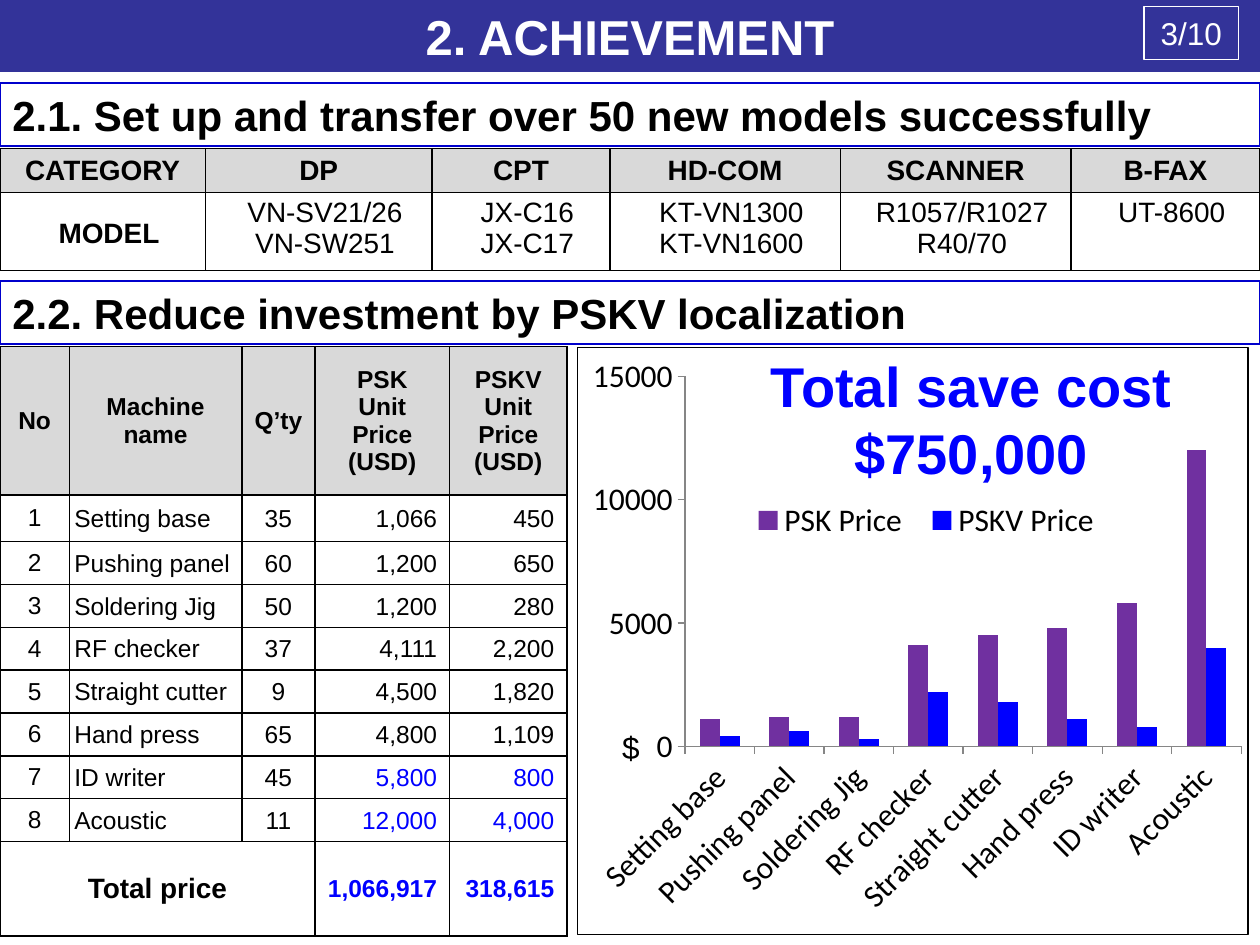
from lxml.etree import SubElement as Sub
from pptx import Presentation
from pptx.chart.data import CategoryChartData as Data
from pptx.dml.color import RGBColor
from pptx.enum.chart import XL_CHART_TYPE as Kind, XL_LEGEND_POSITION as Pos
from pptx.enum.chart import XL_TICK_MARK as Tick
from pptx.enum.shapes import MSO_SHAPE as Shape
from pptx.enum.text import MSO_ANCHOR as Anchor, PP_ALIGN as Align
from pptx.oxml import parse_xml
from pptx.oxml.ns import nsdecls, qn
from pptx.util import Inches, Pt

BLACK = RGBColor(0, 0, 0)
WHITE = RGBColor(255, 255, 255)
NAVY = RGBColor(0x33, 0x33, 0x99)
FRAME = RGBColor(0, 0, 0xCC)
BLUE = RGBColor(0, 0, 0xFF)
PURPLE = RGBColor(0x70, 0x30, 0xA0)
GRAY = RGBColor(0xD9, 0xD9, 0xD9)
AXIS = RGBColor(0x86, 0x86, 0x86)

MODELS = [
    ("DP", "VN-SV21/26\nVN-SW251"), ("CPT", "JX-C16\nJX-C17"),
    ("HD-COM", "KT-VN1300\nKT-VN1600"),
    ("SCANNER", "R1057/R1027\nR40/70"), ("B-FAX", "UT-8600"),
]
PARTS = [
    ("Setting base", 35, 1066, 450), ("Pushing panel", 60, 1200, 650),
    ("Soldering Jig", 50, 1200, 280), ("RF checker", 37, 4111, 2200),
    ("Straight cutter", 9, 4500, 1820), ("Hand press", 65, 4800, 1109),
    ("ID writer", 45, 5800, 800), ("Acoustic", 11, 12000, 4000),
]
HEADS = ["No", "Machine\nname", "Q’ty", "PSK\nUnit\nPrice\n(USD)",
         "PSKV\nUnit\nPrice\n(USD)"]
SERIES = [
    ("PSK Price", (1100, 1200, 1200, 4100, 4500, 4800, 5800, 12000), PURPLE),
    ("PSKV Price", (400, 600, 300, 2200, 1800, 1100, 800, 4000), BLUE),
]
PAD = (0.1, 0.05, 0.1, 0.05)


class Deck:
    """Hold the style and the current slide."""

    font = "Arial"

    def __init__(self):
        self.prs = Presentation()
        self.prs.slide_width, self.prs.slide_height = Inches(10), Inches(7.5)
        self.slide = self.prs.slides.add_slide(self.prs.slide_layouts[5])

    def put(self, frame, text, size, color=BLACK, bold=False,
            align=Align.LEFT):
        for i, line in enumerate(text.split("\n")):
            para = frame.add_paragraph() if i else frame.paragraphs[0]
            para.alignment = align
            run = para.add_run()
            run.text = line
            run.font.name, run.font.size = self.font, Pt(size)
            run.font.bold, run.font.color.rgb = bold, color

    def title(self, text, box):
        head = self.slide.shapes.title
        head.left, head.top, head.width, head.height = map(Inches, box)
        head.fill.solid()
        head.fill.fore_color.rgb = NAVY
        head.text_frame.vertical_anchor = Anchor.MIDDLE
        self.put(head.text_frame, text, 28, WHITE, True, Align.CENTER)

    def rect(self, text, box, size, line, width, fill=None, wrap=True,
             **style):
        shape = self.slide.shapes.add_shape(Shape.RECTANGLE,
                                            *map(Inches, box))
        shape.shadow.inherit = False
        if fill is None:
            shape.fill.background()
        else:
            shape.fill.solid()
            shape.fill.fore_color.rgb = fill
        shape.line.color.rgb, shape.line.width = line, Pt(width)
        shape.text_frame.word_wrap = wrap
        shape.text_frame.vertical_anchor = Anchor.MIDDLE
        self.put(shape.text_frame, text, size, **style)

    def label(self, text, box, size, wrap=True, **style):
        frame = self.slide.shapes.add_textbox(*map(Inches, box)).text_frame
        frame.word_wrap = wrap
        self.put(frame, text, size, **style)

    def grid(self, box, cols, rows):
        table = self.slide.shapes.add_table(
            len(rows), len(cols), *map(Inches, box)).table
        for col, width in zip(table.columns, cols):
            col.width = Inches(width)
        for row, height in zip(table.rows, rows):
            row.height = Inches(height)
        for cell in table.iter_cells():
            prop = cell._tc.get_or_add_tcPr()
            for side in "LRTB":
                edge = Sub(prop, qn(f"a:ln{side}"), w=str(Pt(1)))
                fill = Sub(edge, qn("a:solidFill"))
                Sub(fill, qn("a:srgbClr"), val=str(BLACK))
            cell.fill.background()
        return table

    def cell(self, cell, text, size, pad=PAD, fill=None, anchor=Anchor.MIDDLE,
             align=Align.CENTER, **style):
        cell.margin_left, cell.margin_top, cell.margin_right, \
            cell.margin_bottom = map(Inches, pad)
        cell.vertical_anchor = anchor
        if fill is not None:
            cell.fill.solid()
            cell.fill.fore_color.rgb = fill
        self.put(cell.text_frame, text, size, align=align, **style)

    def place(self, node, spot, at, inner=False):
        for old in node.findall(qn("c:layout")):
            node.remove(old)
        layout = parse_xml(f"<c:layout {nsdecls('c')}/>")
        node.insert(at, layout)
        man = Sub(layout, qn("c:manualLayout"))
        if inner:
            Sub(man, qn("c:layoutTarget"), val="inner")
        for key in "xy":
            Sub(man, qn(f"c:{key}Mode"), val="edge")
        for key, val in zip("xywh", spot):
            Sub(man, qn(f"c:{key}"), val=str(val))

    def chart(self, box, cats, series):
        data = Data()
        data.categories = cats
        for name, vals, _ in series:
            data.add_series(name, vals)
        chart = self.slide.shapes.add_chart(
            Kind.COLUMN_CLUSTERED, *map(Inches, box), data).chart
        chart.has_title = False
        chart.font.name, chart.font.size = "Calibri", Pt(18)
        chart.font.color.rgb = BLACK
        plot = chart.plots[0]
        plot.gap_width, plot.overlap, plot.vary_by_categories = 150, 0, False
        for bars, (_, _, color) in zip(plot.series, series):
            bars.format.fill.solid()
            bars.format.fill.fore_color.rgb = color
        for axis in (chart.category_axis, chart.value_axis):
            axis.has_major_gridlines = False
            axis.major_tick_mark = Tick.OUTSIDE
            axis.minor_tick_mark = Tick.NONE
            axis.format.line.color.rgb = AXIS
            axis.tick_labels.font.size = Pt(18)
        axis.minimum_scale, axis.maximum_scale = 0, 15000
        axis.major_unit = 5000
        root = chart.element
        turn = root.find(f".//{qn('c:catAx')}/{qn('c:txPr')}/{qn('a:bodyPr')}")
        turn.set("rot", "-2700000")
        chart.has_legend = True
        chart.legend.position = Pos.RIGHT
        chart.legend.include_in_layout = False
        self.place(root.find(f".//{qn('c:legend')}"),
                   (0.24, 0.26, 0.56, 0.07), 1)
        self.place(root.find(f".//{qn('c:plotArea')}"),
                   (0.16, 0.05, 0.83, 0.63), 0, True)
        root.find(qn("c:txPr")).addprevious(parse_xml(
            f"<c:spPr {nsdecls('c', 'a')}><a:noFill/><a:ln w='{Pt(0.75)}'>"
            f"<a:solidFill><a:srgbClr val='{BLACK}'/></a:solidFill></a:ln>"
            "</c:spPr>"))


def main():
    deck = Deck()
    deck.title("2. ACHIEVEMENT", (0, 0, 10, 0.57))
    for top, text in (
            (0.66, "2.1. Set up and transfer over 50 new models successfully"),
            (2.23, "2.2. Reduce investment by PSKV localization")):
        deck.rect(text, (0, top, 10, 0.5), 24, FRAME, 1, bold=True)
    deck.rect("3/10", (9.08, 0.05, 0.75, 0.42), 18, WHITE, 0.75, NAVY, False,
              color=WHITE, align=Align.CENTER)

    table = deck.grid((0, 1.18, 10, 0.98),
                      (1.63, 1.8, 1.41, 1.83, 1.83, 1.5), (0.3, 0.62))
    for col, (kind, model) in enumerate([("CATEGORY", "MODEL")] + MODELS):
        deck.cell(table.cell(0, col), kind, 16, fill=GRAY, anchor=Anchor.TOP,
                  bold=True)
        deck.cell(table.cell(1, col), model, 16, (0.1, 0.04, 0, 0),
                  anchor=Anchor.TOP if col else Anchor.MIDDLE, bold=not col)

    table = deck.grid((0, 2.75, 4.5, 4.67), (0.55, 1.37, 0.58, 1.07, 0.93),
                      [1.18, 0.37] + [0.34] * 7 + [0.75])
    tight, price = (0.05,) * 4, (0, 0.01, 0.1, 0)
    for col, text in enumerate(HEADS):
        deck.cell(table.cell(0, col), text, 14, fill=GRAY, bold=True)
    for row, (name, count, *costs) in enumerate(PARTS, 1):
        deck.cell(table.cell(row, 0), str(row), 14, tight)
        deck.cell(table.cell(row, 1), name, 14, (0.04, 0.01, 0.01, 0),
                  align=Align.LEFT)
        deck.cell(table.cell(row, 2), str(count), 14, (0.01, 0.01, 0.01, 0))
        for col, cost in enumerate(costs, 3):
            deck.cell(table.cell(row, col), f"{cost:,}", 14, price,
                      align=Align.RIGHT, color=BLUE if row > 6 else BLACK)
    table.cell(9, 0).merge(table.cell(9, 2))
    deck.cell(table.cell(9, 0), "Total price", 16, tight, bold=True)
    for col, total in enumerate((1066917, 318615), 3):
        deck.cell(table.cell(9, col), f"{total:,}", 14, price,
                  align=Align.RIGHT, color=BLUE, bold=True)

    deck.chart((4.58, 2.75, 5.33, 4.67), [part[0] for part in PARTS], SERIES)
    deck.label("Total save cost\n$750,000", (5.5, 2.74, 4.42, 1.18), 32,
               color=BLUE, bold=True, align=Align.CENTER)
    deck.label("$", (4.84, 5.73, 0.34, 0.4), 18, False)
    deck.prs.save("out.pptx")


if __name__ == "__main__":
    main()
